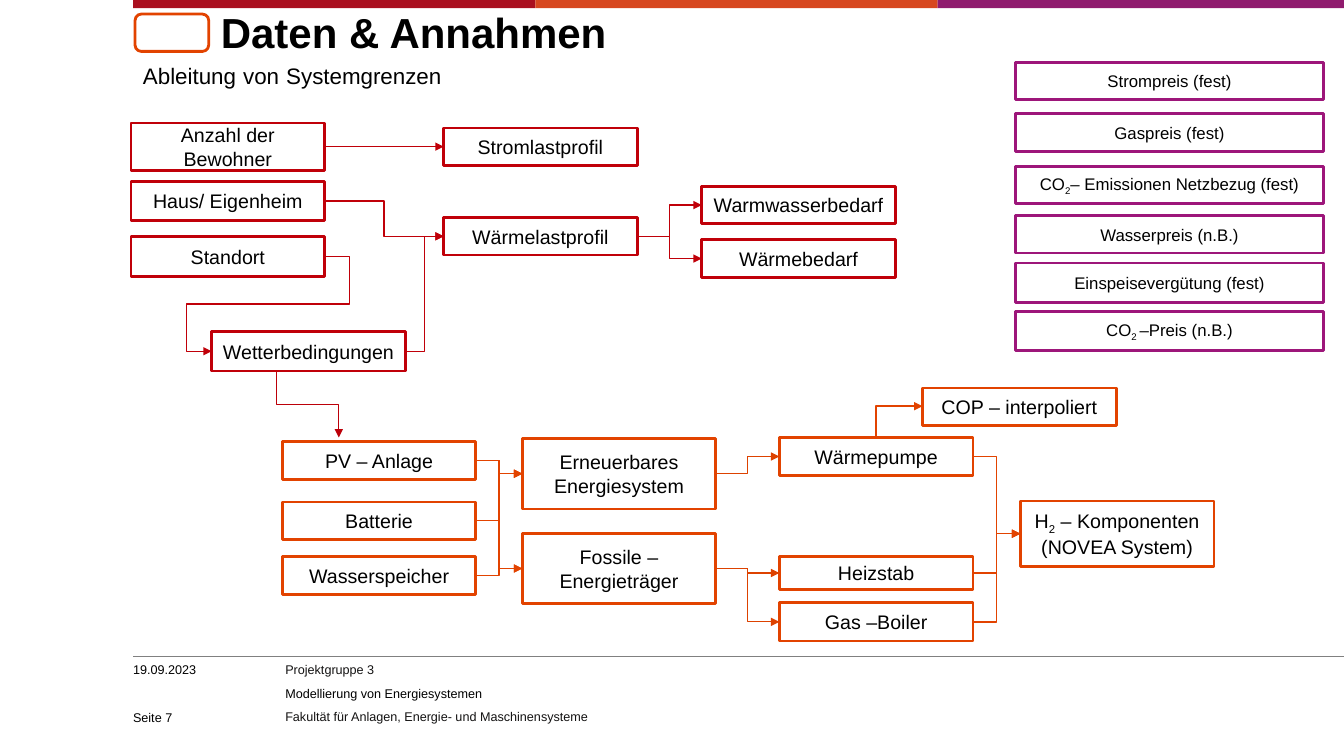
from math import cos, radians, sin

from lxml.etree import SubElement
from pptx import Presentation
from pptx.dml.color import RGBColor
from pptx.enum.shapes import MSO_CONNECTOR, MSO_SHAPE
from pptx.enum.text import MSO_ANCHOR, MSO_AUTO_SIZE, PP_ALIGN
from pptx.oxml.ns import qn
from pptx.util import Inches, Pt

RED, ORANGE, DARK_ORANGE, PURPLE = "C00009", "E24300", "DD4200", "9D167A"
BLACK, WHITE, INK = "000000", "FFFFFF", "141313"
BOX_W = 1.92

# Flow boxes: text -> left, top, height; "|" encloses subscripts
DEMAND = {
    "Anzahl der Bewohner": (1.3, 1.22, 0.47),
    "Haus/ Eigenheim": (1.3, 1.8, 0.39),
    "Standort": (1.3, 2.35, 0.39),
    "Wetterbedingungen": (2.1, 3.29, 0.39),
    "Stromlastprofil": (4.4, 1.27, 0.37),
    "Wärmelastprofil": (4.4, 2.16, 0.37),
    "Warmwasserbedarf": (6.96, 1.85, 0.37),
    "Wärmebedarf": (6.96, 2.38, 0.37),
}
SUPPLY = {
    "PV – Anlage": (2.8, 4.38, 0.38),
    "Batterie": (2.8, 4.98, 0.37),
    "Wasserspeicher": (2.8, 5.52, 0.38),
    "Erneuerbares Energiesystem": (5.18, 4.35, 0.7),
    "Fossile – Energieträger": (5.18, 5.29, 0.7),
    "Wärmepumpe": (7.73, 4.34, 0.38),
    "Heizstab": (7.73, 5.52, 0.33),
    "Gas –Boiler": (7.73, 5.98, 0.38),
    "COP – interpoliert": (9.15, 3.85, 0.37),
    "H|2| – Komponenten\n(NOVEA System)": (10.12, 4.97, 0.65),
}
PRICES = [  # text, top, height
    ("Strompreis (fest)", 0.62, 0.37),
    ("Gaspreis (fest)", 1.13, 0.37),
    ("CO|2|– Emissionen Netzbezug (fest)", 1.65, 0.37),
    ("Wasserpreis (n.B.)", 2.14, 0.37),
    ("Einspeisevergütung (fest)", 2.61, 0.39),
    ("CO|2 |–Preis (n.B.)", 3.09, 0.39),
]

# Arrows from a right side to a left side: source, targets, colour, width
H2 = "H|2| – Komponenten\n(NOVEA System)"
SYSTEMS = ["Erneuerbares Energiesystem", "Fossile – Energieträger"]
FLOWS = [
    ("Haus/ Eigenheim", ["Wärmelastprofil"], RED, 1),
    ("Wetterbedingungen", ["Wärmelastprofil"], RED, 1),
    ("Wärmelastprofil", ["Warmwasserbedarf", "Wärmebedarf"], RED, 1),
    ("PV – Anlage", SYSTEMS, ORANGE, 1),
    ("Batterie", SYSTEMS, ORANGE, 1),
    ("Wasserspeicher", SYSTEMS[:1], ORANGE, 1),
    (SYSTEMS[0], ["Wärmepumpe"], DARK_ORANGE, 0.75),
    (SYSTEMS[1], ["Heizstab", "Gas –Boiler"], DARK_ORANGE, 0.75),
    ("Wärmepumpe", [H2], ORANGE, 1),
    ("Heizstab", [H2], ORANGE, 1),
    ("Gas –Boiler", [H2], ORANGE, 1),
]


def rgb(value):
    return RGBColor.from_string(value)


def add_run(p, text, size, color=BLACK, bold=False, subscript=False):
    r = p.add_run()
    r.text = text
    r.font.name, r.font.size, r.font.bold = "Arial", Pt(size), bold
    r.font.color.rgb = rgb(color)
    if subscript:
        r._r.get_or_add_rPr().set("baseline", "-25000")


def clear_margins(tf):
    tf.margin_left = tf.margin_top = tf.margin_right = tf.margin_bottom = 0


def add_rect(s, at, fill, line=None, kind=MSO_SHAPE.RECTANGLE):
    sp = s.shapes.add_shape(kind, *map(Inches, at))
    sp.shadow.inherit = False
    sp.fill.solid()
    sp.fill.fore_color.rgb = rgb(fill)
    if line:
        sp.line.color.rgb = rgb(line)
        sp.line.width = Pt(2)
    else:
        sp.line.fill.background()
    return sp


def add_box(s, at, text, color, size):
    sp = add_rect(s, at, WHITE, color)
    tf = sp.text_frame
    tf.word_wrap = True
    tf.vertical_anchor = MSO_ANCHOR.MIDDLE
    for i, line in enumerate(text.split("\n")):
        p = tf.add_paragraph() if i else tf.paragraphs[0]
        p.alignment = PP_ALIGN.CENTER
        for j, part in enumerate(line.split("|")):
            add_run(p, part, size, subscript=j % 2 == 1)
    return sp


def add_note(s, at, lines, anchor=MSO_ANCHOR.TOP):
    tf = s.shapes.add_textbox(*map(Inches, at)).text_frame
    tf.word_wrap = True
    tf.vertical_anchor = anchor
    clear_margins(tf)
    for i, (text, color) in enumerate(lines):
        p = tf.add_paragraph() if i else tf.paragraphs[0]
        p.space_after = Pt(6 if len(lines) > 1 else 0)
        add_run(p, text, 9, color)


def add_line(s, start, end, color, width, kind=MSO_CONNECTOR.STRAIGHT, arrow=True):
    c = s.shapes.add_connector(kind, *map(Inches, (*start, *end)))
    c.line.color.rgb = rgb(color)
    c.line.width = Pt(width)
    if arrow:
        SubElement(c.line._get_or_add_ln(), qn("a:tailEnd"), type="triangle")
    SubElement(c._element.spPr, qn("a:effectLst"))
    return c


def link(s, source, target, color, width, kind=MSO_CONNECTOR.ELBOW):
    c = add_line(s, (0, 0), (1, 1), color, width, kind)
    c.begin_connect(source, 3)
    c.end_connect(target, 1)
    return c


def set_bend(c, preset, adjustments=()):
    geom = c._element.spPr.find(qn("a:prstGeom"))
    geom.set("prst", preset)
    guides = geom.find(qn("a:avLst"))
    for i, value in enumerate(adjustments, 1):
        SubElement(guides, qn("a:gd"), name=f"adj{i}", fmla=f"val {value}")


def add_turned_elbow(s, start, end, angle, preset, color, width):
    """Elbow that leaves vertically: endpoints are turned back, then rotated."""
    cx, cy = (start[0] + end[0]) / 2, (start[1] + end[1]) / 2
    co, si = cos(radians(angle)), sin(radians(angle))
    ends = [(cx + (x - cx) * co + (y - cy) * si, cy - (x - cx) * si + (y - cy) * co)
            for x, y in (start, end)]
    c = add_line(s, *ends, color, width, MSO_CONNECTOR.ELBOW)
    set_bend(c, preset)
    c._element.spPr.find(qn("a:xfrm")).set("rot", str(angle * 60000))


def add_frame(s):
    # Colour band, footer rule and corner emblem
    for left, width, color in ((1.32, 3.99, "AA0F1F"), (5.31, 3.99, "D7471F"),
                               (9.3, 4.03, "901B6E")):
        add_rect(s, (left, 0, width, 0.08), color)
    add_line(s, (1.32, 6.51), (13.33, 6.51), "808080", 0.5, arrow=False)
    add_rect(s, (1.34, 0.14, 0.73, 0.37), WHITE, ORANGE, MSO_SHAPE.ROUNDED_RECTANGLE)
    # Footer
    add_note(s, (2.83, 6.57, 6.46, 0.67), [
        ("Projektgruppe 3", INK), ("Modellierung von Energiesystemen", BLACK),
        ("Fakultät für Anlagen, Energie- und Maschinensysteme", INK)])
    add_note(s, (1.32, 6.57, 1.42, 0.2), [("19.09.2023", BLACK)])
    add_note(s, (1.32, 6.96, 1.06, 0.23), [("Seite 7", BLACK)], MSO_ANCHOR.BOTTOM)


def add_headings(s):
    title = s.shapes.title
    title.left, title.top, title.width, title.height = map(Inches, (2.19, 0.15, 7.69, 0.47))
    tf = title.text_frame
    tf.auto_size = MSO_AUTO_SIZE.NONE
    tf.vertical_anchor = MSO_ANCHOR.TOP
    clear_margins(tf)
    p = tf.paragraphs[0]
    p.alignment, p.line_spacing = PP_ALIGN.LEFT, Pt(30)
    add_run(p, "Daten & Annahmen", 30, bold=True)
    tf = s.shapes.add_textbox(*map(Inches, (1.32, 0.54, 3.4, 0.4))).text_frame
    tf.word_wrap = True
    for text, size in (("Ableitung", 16), (" ", 18), ("von", 16), (" ", 18),
                       ("Systemgrenzen", 16)):
        add_run(tf.paragraphs[0], text, size)


def main():
    prs = Presentation()
    prs.slide_width, prs.slide_height = Inches(13.33), Inches(7.5)
    s = prs.slides.add_slide(prs.slide_layouts[5])
    add_frame(s)
    add_headings(s)

    # Boxes
    boxes = {}
    for group, color in ((DEMAND, RED), (SUPPLY, ORANGE)):
        for text, (left, top, height) in group.items():
            boxes[text] = add_box(s, (left, top, BOX_W, height), text, color, 14)
    for text, top, height in PRICES:
        add_box(s, (10.07, top, 3.06, height), text, PURPLE, 12)

    # Arrows
    link(s, boxes["Anzahl der Bewohner"], boxes["Stromlastprofil"], RED, 1,
         MSO_CONNECTOR.STRAIGHT)
    for source, targets, color, width in FLOWS:
        for target in targets:
            link(s, boxes[source], boxes[target], color, width)
    weather = link(s, boxes["Standort"], boxes["Wetterbedingungen"], RED, 1)
    set_bend(weather, "bentConnector5", (-22300, 50000, 122300))
    add_turned_elbow(s, (2.74, 3.69), (3.36, 4.34), 270, "bentConnector3", "BC0009", 0.75)
    add_turned_elbow(s, (8.69, 4.34), (9.15, 4.03), 90, "bentConnector2", ORANGE, 1)

    prs.save("out.pptx")


if __name__ == "__main__":
    main()
